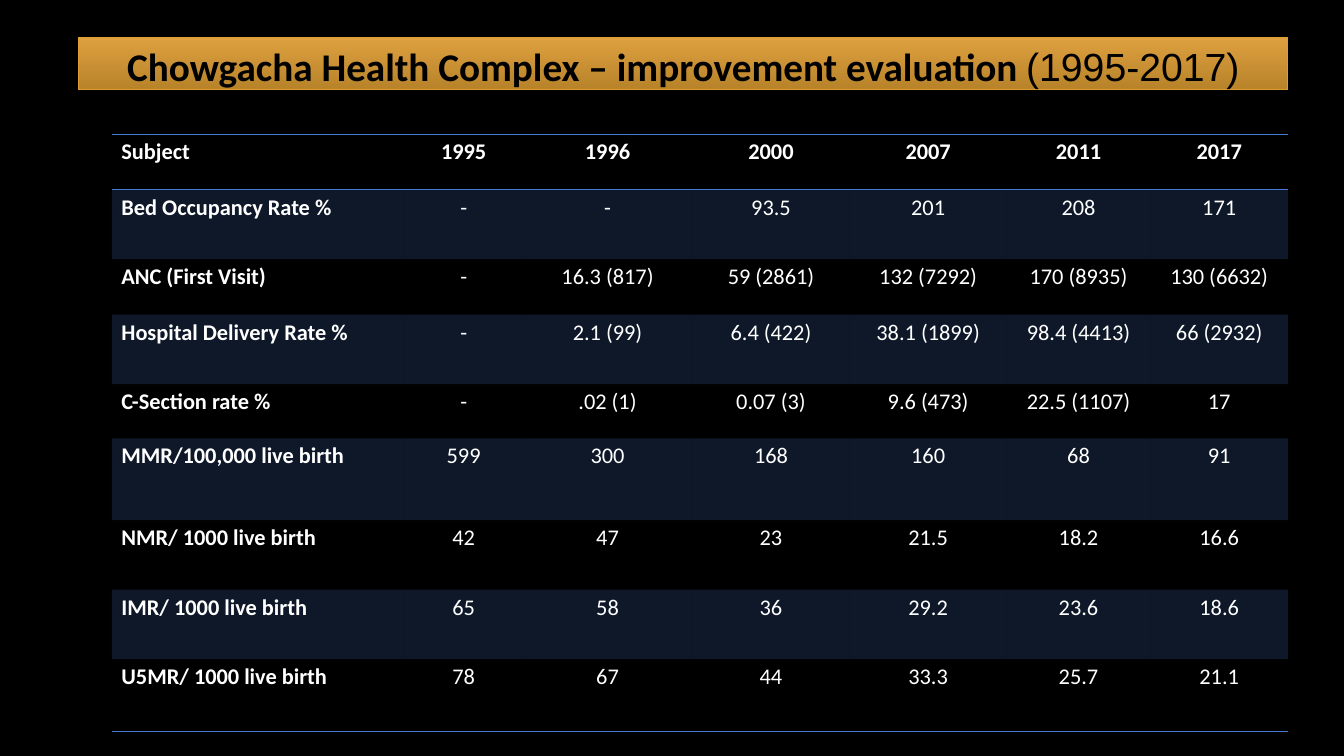
from dataclasses import dataclass
from lxml.etree import SubElement as Sub
from pptx import Presentation
from pptx.dml.color import RGBColor as RGB
from pptx.enum.shapes import MSO_SHAPE as Shape
from pptx.enum.text import MSO_ANCHOR as Anchor, PP_ALIGN as Align
from pptx.oxml import parse_xml
from pptx.oxml.ns import nsdecls, qn
from pptx.util import Cm, Pt


@dataclass
class Theme:
    back: str = "000000"
    light: str = "FFFFFF"
    blue: str = "477BD1"
    gold: tuple = ("DEA040", "B88329")
    edge: str = "DD9D31"
    body: str = "Calibri"
    years: str = "Arial"
    title_size: int = 28
    cell_size: int = 16


theme = Theme()


def style(run, size, color, bold, name=theme.body):
    font = run.font
    font.name, font.size, font.bold = name, Pt(size), bold
    font.color.rgb = RGB.from_string(color)


def rule(cell, side):
    line = parse_xml(
        f'<a:{side} {nsdecls("a")} w="12700"><a:solidFill>'
        f'<a:srgbClr val="{theme.blue}"/></a:solidFill></a:{side}>')
    cell._tc.get_or_add_tcPr().insert(0, line)


deck = Presentation()
deck.slide_width, deck.slide_height = Cm(33.87), Cm(19.05)
slide = deck.slides.add_slide(deck.slide_layouts[6])
slide.background.fill.solid()
slide.background.fill.fore_color.rgb = RGB.from_string(theme.back)

# Table of results
rows = [
    ["Subject", "1995", "1996", "2000", "2007", "2011", "2017"],
    ["Bed Occupancy Rate %", "-", "-", "93.5", "201", "208", "171"],
    ["ANC (First Visit)", "-", "16.3 (817)", "59 (2861)", "132 (7292)",
     "170 (8935)", "130 (6632)"],
    ["Hospital Delivery Rate %", "-", "2.1 (99)", "6.4 (422)",
     "38.1 (1899)", "98.4 (4413)", "66 (2932)"],
    ["C-Section rate %", "-", ".02 (1)", "0.07 (3)", "9.6 (473)",
     "22.5 (1107)", "17"],
    ["MMR/100,000 live birth", "599", "300", "168", "160", "68", "91"],
    ["NMR/ 1000 live birth", "42", "47", "23", "21.5", "18.2", "16.6"],
    ["IMR/ 1000 live birth", "65", "58", "36", "29.2", "23.6", "18.6"],
    ["U5MR/ 1000 live birth", "78", "67", "44", "33.3", "25.7", "21.1"],
]
widths = [7.38, 2.97, 4.28, 3.96, 3.96, 3.62, 3.47]
heights = [1.4, 1.75, 1.4, 1.75, 1.37, 2.06, 1.75, 1.75, 1.83]
last = len(rows) - 1

frame = slide.shapes.add_table(len(rows), len(widths), Cm(2.82), Cm(3.38),
                               Cm(sum(widths)), Cm(sum(heights)))
table = frame.table
table.horz_banding = False
# Plain table style without a grid
plain = "{2D5ABB26-0587-4C30-8999-92F81FD0307C}"
table._tbl.tblPr.find(qn("a:tableStyleId")).text = plain
for col, width in zip(table.columns, widths):
    col.width = Cm(width)

for r, row in enumerate(rows):
    table.rows[r].height = Cm(heights[r])
    for c, text in enumerate(row):
        cell = table.cell(r, c)
        cell.margin_left = cell.margin_right = Cm(0.24)
        cell.margin_top = cell.margin_bottom = 0
        para = cell.text_frame.paragraphs[0]
        para.text = text
        para.line_spacing = 1.15
        para.alignment = Align.CENTER if c else Align.LEFT
        style(para.runs[0], theme.cell_size, theme.light, r == 0 or c == 0)

        # Odd rows carry a translucent band
        if r % 2:
            cell.fill.solid()
            cell.fill.fore_color.rgb = RGB.from_string(theme.blue)
            color = cell._tc.tcPr.find(".//" + qn("a:srgbClr"))
            Sub(color, qn("a:alpha"), val="20000")
        else:
            cell.fill.background()

        # Rules around the header and below the last row
        if r in (0, last):
            rule(cell, "lnB")
        if r == 0:
            rule(cell, "lnT")

# Title bar
bar = slide.shapes.add_shape(Shape.RECTANGLE, Cm(1.98), Cm(0.94),
                             Cm(30.48), Cm(1.32))
bar.shadow.inherit = False
bar.fill.gradient()
bar.fill.gradient_angle = 270
for stop, color, place in zip(bar.fill.gradient_stops, theme.gold, (0, 1)):
    stop.color.rgb = RGB.from_string(color)
    stop.position = place
bar.line.color.rgb = RGB.from_string(theme.edge)
bar.line.width = Pt(0.75)

box = bar.text_frame
box.word_wrap = True
box.vertical_anchor = Anchor.MIDDLE
box.margin_left = box.margin_right = Cm(0.25)
box.margin_top, box.margin_bottom = Cm(0.13), 0
para = box.paragraphs[0]
para.alignment = Align.CENTER
for text, bold, name in [
    ("Chowgacha Health Complex – improvement evaluation ", True, theme.body),
    ("(1995-2017)", False, theme.years),
]:
    run = para.add_run()
    run.text = text
    style(run, theme.title_size, theme.back, bold, name)

deck.save("out.pptx")
